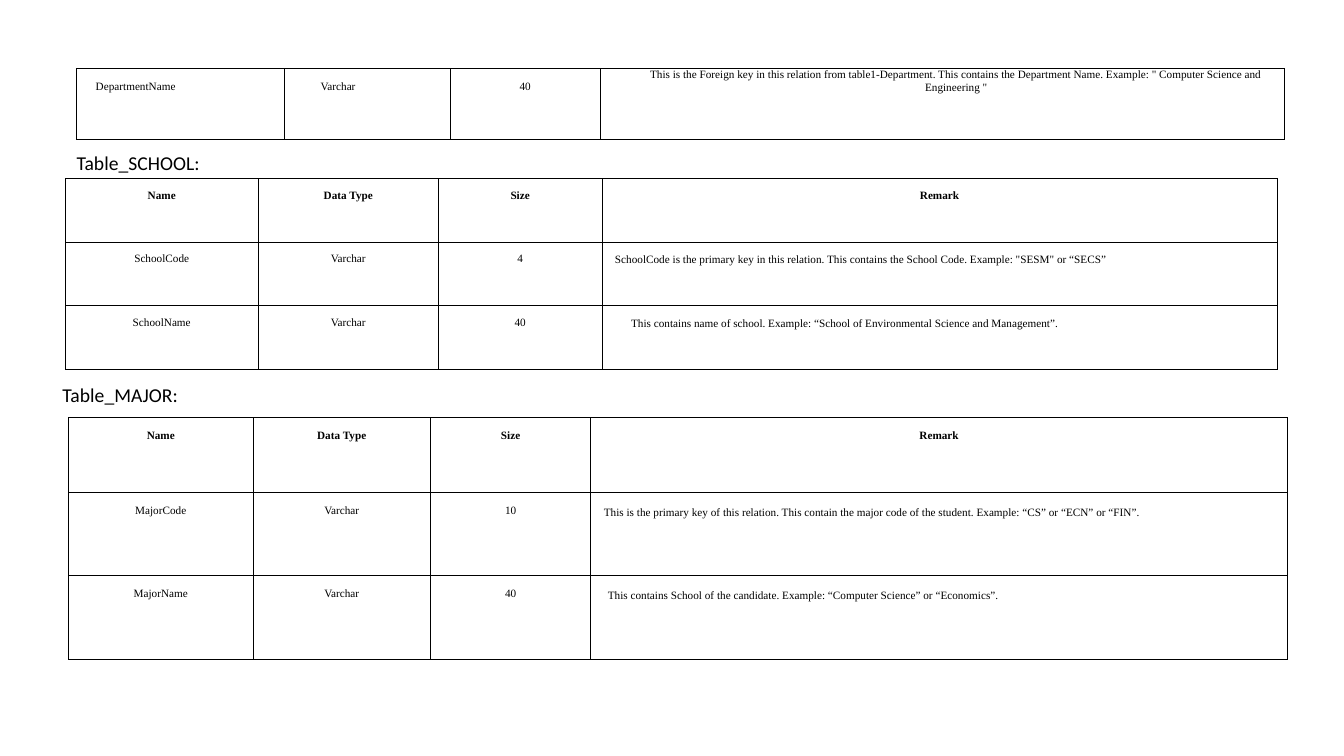
from dataclasses import dataclass

from lxml.etree import SubElement
from pptx import Presentation
from pptx.dml.color import RGBColor
from pptx.enum.text import PP_ALIGN
from pptx.oxml.ns import qn
from pptx.util import Inches, Pt


@dataclass(frozen=True)
class Theme:
    """Colours, fonts and sizes of the slide."""
    ink: str = "000000"
    heading_font: str = "Calibri"
    table_font: str = "Times New Roman"
    heading_size: float = 14
    table_size: float = 8
    border: float = 0.5


@dataclass(frozen=True)
class Cell:
    """Text of one table cell with its placing."""
    text: str
    top: float = 0.12
    left: float = 0
    align: PP_ALIGN = PP_ALIGN.CENTER
    leading: float = 0
    bold: bool = False


class SchemaSlide:
    """Draws headings and field tables on one slide."""

    def __init__(self, s, theme):
        """Keep the slide and its style."""
        self.s = s
        self.theme = theme

    def style(self, p, font, size, bold=False):
        """Format every run of a paragraph."""
        for r in p.runs:
            r.font.name = font
            r.font.size = Pt(size)
            r.font.bold = bold
            r.font.color.rgb = RGBColor.from_string(self.theme.ink)

    def heading(self, text, left, top, width):
        """Add a table heading."""
        sp = self.s.shapes.add_textbox(Inches(left), Inches(top), Inches(width), Inches(0.25))
        tf = sp.text_frame
        tf.word_wrap = True
        tf.margin_left = tf.margin_right = tf.margin_bottom = 0
        tf.margin_top = Inches(0.01)
        p = tf.paragraphs[0]
        p.text = text
        self.style(p, self.theme.heading_font, self.theme.heading_size)

    def borders(self, cell):
        """Rule all four sides of a cell."""
        tc_pr = cell._tc.get_or_add_tcPr()
        for i, side in enumerate(("lnL", "lnR", "lnT", "lnB")):
            ln = SubElement(tc_pr, qn(f"a:{side}"), w=str(Pt(self.theme.border)))
            fill = SubElement(ln, qn("a:solidFill"))
            SubElement(fill, qn("a:srgbClr"), val=self.theme.ink)
            tc_pr.insert(i, ln)

    def fill_cell(self, cell, content):
        """Write one cell."""
        cell.fill.background()
        self.borders(cell)
        cell.margin_right = cell.margin_bottom = 0
        cell.margin_left = Inches(content.left)
        cell.margin_top = Inches(content.top)
        p = cell.text_frame.paragraphs[0]
        p.text = content.text
        p.alignment = content.align
        if content.leading:
            p.line_spacing = Pt(content.leading)
        self.style(p, self.theme.table_font, self.theme.table_size, content.bold)

    def table(self, left, top, widths, heights, rows):
        """Add a ruled table."""
        frame = self.s.shapes.add_table(
            len(rows), len(widths), Inches(left), Inches(top),
            Inches(sum(widths)), Inches(sum(heights)))
        tbl = frame.table
        tbl.first_row = tbl.horz_banding = False
        for column, width in zip(tbl.columns, widths):
            column.width = Inches(width)
        for row, height, contents in zip(tbl.rows, heights, rows):
            row.height = Inches(height)
            for cell, content in zip(row.cells, contents):
                self.fill_cell(cell, content)


def header(top):
    """Return the header row."""
    return [Cell(t, top, bold=True) for t in ("Name", "Data Type", "Size", "Remark")]


def field(name, size, top, remark, remark_top, remark_left, leading=13.7):
    """Return the row for one field."""
    return [Cell(t, top) for t in (name, "Varchar", size)] + [
        Cell(remark, remark_top, remark_left, PP_ALIGN.LEFT, leading)]


def main():
    """Build and save the slide."""
    prs = Presentation()
    prs.slide_width, prs.slide_height = Inches(13.33), Inches(7.5)
    slide = SchemaSlide(prs.slides.add_slide(prs.slide_layouts[6]), Theme())

    slide.table(0.76, 0.68, (2.06, 1.65, 1.48, 6.79), (0.7,), [[
        Cell("DepartmentName", left=0.19, align=PP_ALIGN.LEFT),
        Cell("Varchar", left=0.36, align=PP_ALIGN.LEFT),
        Cell("40"),
        Cell("This is the Foreign key in this relation from table1-Department. "
             "This contains the Department Name. Example: \" Computer Science and "
             "Engineering \"", top=0, left=0.28)]])

    slide.heading("Table_SCHOOL:", 0.76, 1.49, 4.57)
    slide.table(0.65, 1.77, (1.91, 1.79, 1.62, 6.7), (0.63,) * 3, [
        header(0.11),
        field("SchoolCode", "4", 0.1,
              "SchoolCode is the primary key in this relation. This contains the "
              "School Code. Example: \"SESM\" or “SECS”", 0.05, 0.13),
        field("SchoolName", "40", 0.11,
              "This contains name of school. Example: “School of Environmental "
              "Science and Management”.", 0.05, 0.29)])

    slide.heading("Table_MAJOR:", 0.62, 3.79, 6.37)
    slide.table(0.68, 4.14, (1.83, 1.76, 1.59, 6.91), (0.74, 0.83, 0.83), [
        header(0.12),
        field("MajorCode", "10", 0.12,
              "This is the primary key of this relation. This contain the major code "
              "of the student. Example: “CS” or “ECN” or “FIN”.", 0.08, 0.13),
        field("MajorName", "40", 0.12,
              "This contains School of the candidate. Example: “Computer Science” or "
              "“Economics”.", 0.07, 0.17, 13.9)])

    prs.save("out.pptx")


if __name__ == "__main__":
    main()
